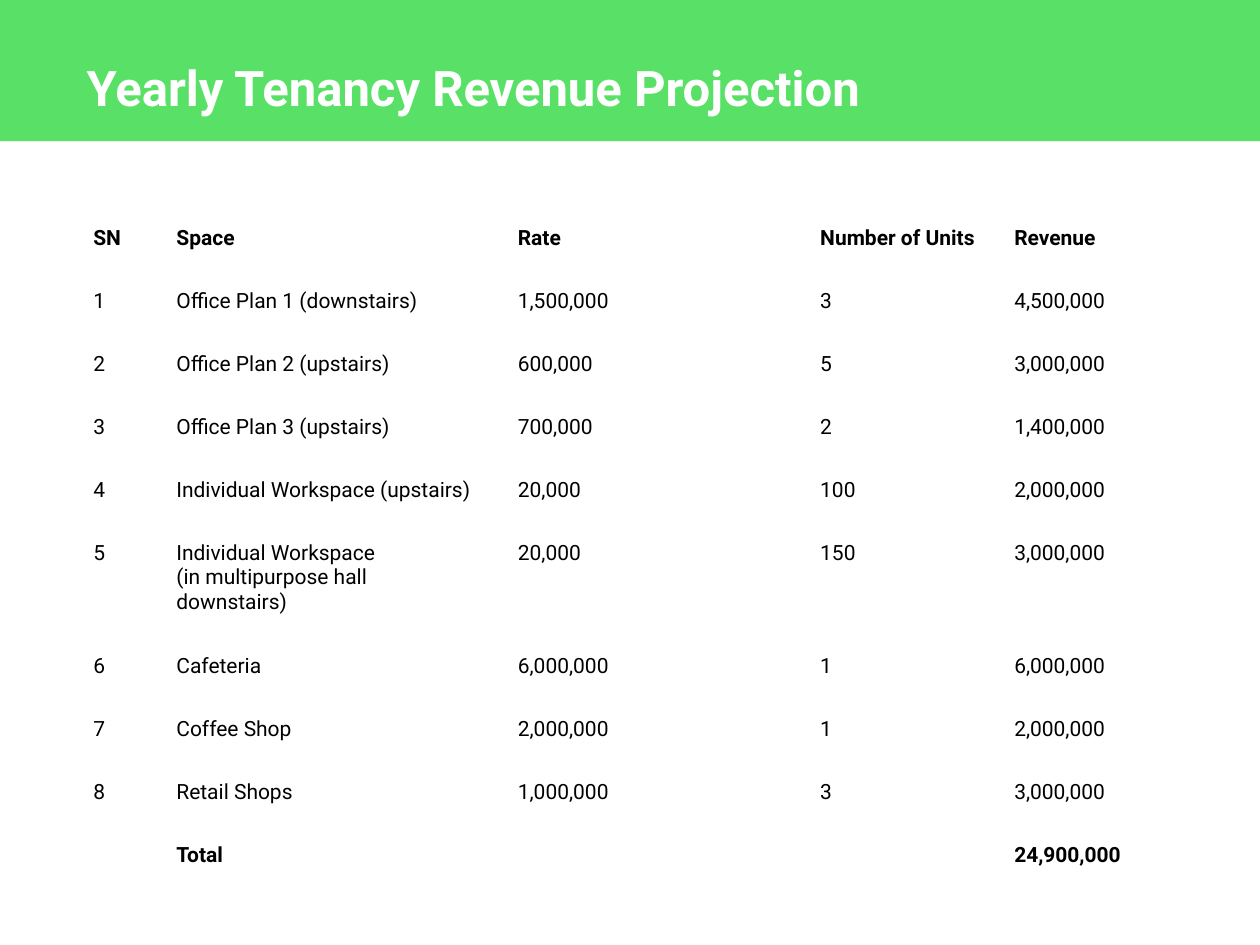
from copy import deepcopy
from dataclasses import dataclass

from pptx import Presentation
from pptx.dml.color import RGBColor
from pptx.enum.shapes import MSO_SHAPE
from pptx.oxml.ns import qn
from pptx.util import Inches, Pt

RECTANGLE = MSO_SHAPE.RECTANGLE


@dataclass(frozen=True)
class Theme:
    font: str = "Roboto"
    green: str = "58E166"
    white: str = "FFFFFF"
    black: str = "000000"
    title_size: int = 28
    table_size: int = 12


THEME = Theme()
COLUMN_WIDTHS = [0.66, 2.71, 2.4, 1.54, 1.54]
ROW_HEIGHT = 0.5
TALL_ROW_HEIGHT = 0.9
CELL_MARGIN = Inches(0.15)

# A vertical tab is a line break inside a paragraph
REVENUE_ROWS = [
    ["SN", "Space", "Rate", "Number of Units", "Revenue"],
    ["1", "Office Plan 1 (downstairs)", "1,500,000", "3", "4,500,000"],
    ["2", "Office Plan 2 (upstairs)", "600,000", "5", "3,000,000"],
    ["3", "Office Plan 3 (upstairs)", "700,000", "2", "1,400,000"],
    ["4", "Individual Workspace (upstairs)", "20,000", "100", "2,000,000"],
    ["5", "Individual Workspace \v(in multipurpose hall downstairs)",
     "20,000", "150", "3,000,000"],
    ["6", "Cafeteria", "6,000,000", "1", "6,000,000"],
    ["7", "Coffee Shop", "2,000,000", "1", "2,000,000"],
    ["8", "Retail Shops", "1,000,000", "3", "3,000,000"],
    ["", "Total", "", "", "24,900,000"],
]


def write_text(frame, text, *, size, color, bold=False):
    """Fill the first paragraph of a frame with formatted text."""
    frame.word_wrap = True
    para = frame.paragraphs[0]
    para.text = text
    for span in para.runs:
        span.font.name = THEME.font
        span.font.size = Pt(size)
        span.font.bold = bold
        span.font.color.rgb = RGBColor.from_string(color)
    # Line breaks take the format of the text around them
    for line_break in para._p.findall(qn("a:br")):
        line_break.append(deepcopy(para.runs[0].font._element))


def add_header(page, left, top, width, height):
    """Green band with the slide title."""
    band = page.shapes.add_shape(RECTANGLE, left, top, width, height)
    band.shadow.inherit = False
    band.fill.solid()
    band.fill.fore_color.rgb = RGBColor.from_string(THEME.green)
    band.line.fill.background()

    box = page.shapes.add_textbox(left + Inches(0.59), top + Inches(0.41),
                                  Inches(7.8), Inches(0.57))
    write_text(box.text_frame, "Yearly Tenancy Revenue Projection",
               size=THEME.title_size, color=THEME.white, bold=True)


def add_revenue_table(page, left, top, width, height):
    """Plain table with bold first and last rows."""
    table = page.shapes.add_table(len(REVENUE_ROWS), len(COLUMN_WIDTHS),
                                  left, top, width, height).table
    table.first_row = False
    table.horz_banding = False
    for column, column_width in zip(table.columns, COLUMN_WIDTHS):
        column.width = Inches(column_width)

    last = len(REVENUE_ROWS) - 1
    for index, values in enumerate(REVENUE_ROWS):
        row = table.rows[index]
        is_tall = any("\v" in value for value in values)
        row.height = Inches(TALL_ROW_HEIGHT if is_tall else ROW_HEIGHT)
        for cell, value in zip(row.cells, values):
            cell.fill.background()
            if not value:
                continue
            cell.margin_left = cell.margin_right = CELL_MARGIN
            cell.margin_top = cell.margin_bottom = CELL_MARGIN
            write_text(cell.text_frame, value, size=THEME.table_size,
                       color=THEME.black, bold=index in (0, last))


def main():
    deck = Presentation()
    deck.slide_width = Inches(10)
    deck.slide_height = Inches(7.5)
    page = deck.slides.add_slide(deck.slide_layouts[6])
    page.background.fill.solid()
    page.background.fill.fore_color.rgb = RGBColor.from_string(THEME.white)

    add_header(page, 0, 0, deck.slide_width, Inches(1.12))
    add_revenue_table(page, Inches(0.59), Inches(1.64),
                      Inches(sum(COLUMN_WIDTHS)), Inches(5.4))
    deck.save("out.pptx")


if __name__ == "__main__":
    main()
